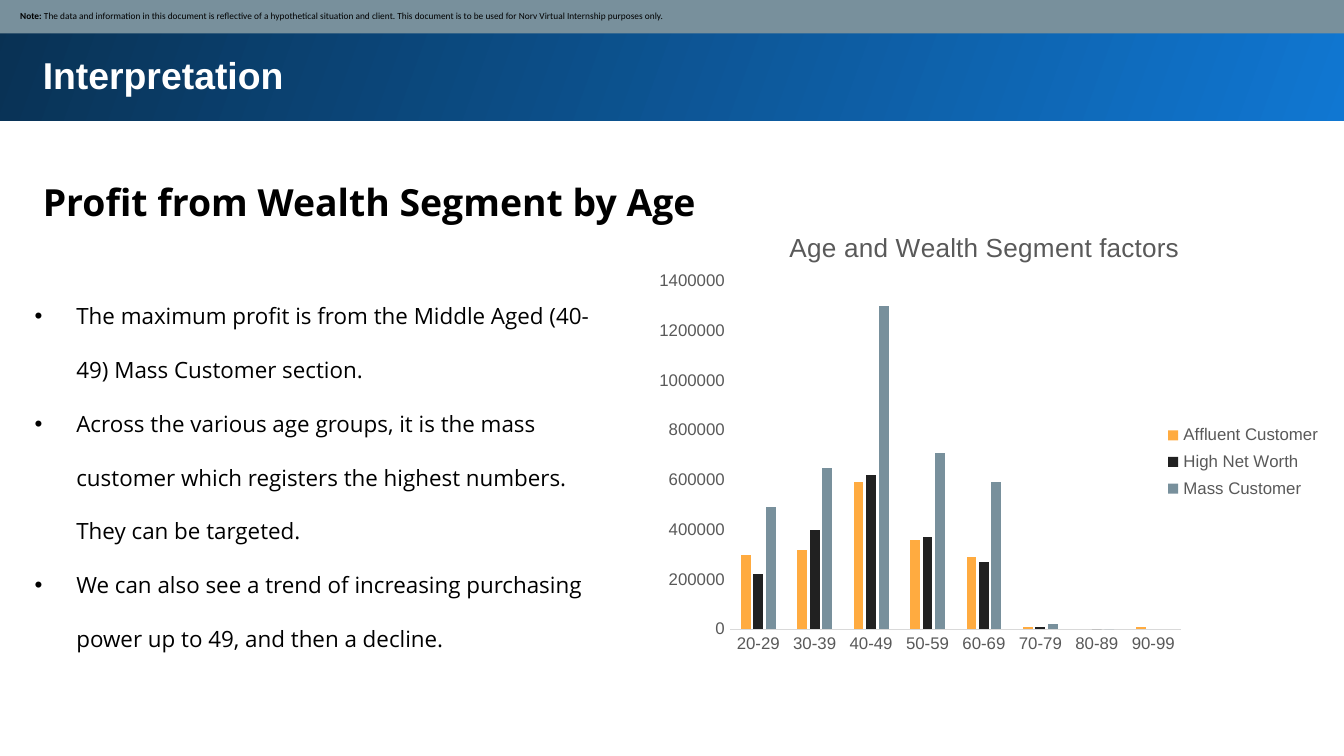
from lxml import etree
from pptx import Presentation
from pptx.chart.data import CategoryChartData
from pptx.dml.color import RGBColor
from pptx.enum.chart import XL_CHART_TYPE, XL_LEGEND_POSITION, XL_TICK_MARK
from pptx.enum.shapes import MSO_SHAPE
from pptx.enum.text import MSO_ANCHOR, PP_ALIGN
from pptx.oxml import parse_xml
from pptx.oxml.ns import nsdecls, qn
from pptx.util import Inches, Pt

COLORS = {
    "bright": "1077D2", "deep": "093153", "slate": "78909C", "amber": "FFAB40",
    "ink": "212121", "black": "000000", "white": "FFFFFF", "label": "595959",
    "axis": "D9D9D9",
}
NOTE = ("The data and information in this document is reflective of a hypothetical "
        "situation and client. This document is to be used for Norv Virtual "
        "Internship purposes only.")
FINDINGS = [
    "The maximum profit is from the Middle Aged (40-49) Mass Customer section.",
    "Across the various age groups, it is the mass customer which registers the "
    "highest numbers. They can be targeted.",
    "We can also see a trend of increasing purchasing power up to 49, and then a decline.",
]
AGES = ["20-29", "30-39", "40-49", "50-59", "60-69", "70-79", "80-89", "90-99"]
SEGMENTS = [
    ("Affluent Customer", "amber",
     [300000, 320000, 590000, 360000, 290000, 10000, None, 10000]),
    ("High Net Worth", "ink",
     [220000, 400000, 620000, 370000, 270000, 10000, 0, None]),
    ("Mass Customer", "slate",
     [490000, 650000, 1300000, 710000, 590000, 20000, 0, None]),
]


def rgb(name):
    """Return the named colour."""
    return RGBColor.from_string(COLORS[name])


def style_font(font, face, size, color, bold=False):
    """Set face, size, colour and weight of a font."""
    font.name, font.size, font.bold = face, Pt(size), bold
    font.color.rgb = rgb(color)


def add_bar(slide, box):
    """Add a plain rectangle without line or shadow."""
    bar = slide.shapes.add_shape(MSO_SHAPE.RECTANGLE, *map(Inches, box))
    bar.shadow.inherit = False
    bar.line.fill.background()
    return bar


def add_text(slide, box, lines, face, size, color, bold=False, spacing=None):
    """Add a wrapped text box and return its paragraphs."""
    frame = slide.shapes.add_textbox(*map(Inches, box)).text_frame
    frame.word_wrap = True
    frame.margin_left = frame.margin_right = Inches(0.1)
    frame.margin_top = frame.margin_bottom = Inches(0.1)
    frame.text = "\n".join(lines)
    for paragraph in frame.paragraphs:
        paragraph.line_spacing = spacing
        style_font(paragraph.runs[0].font, face, size, color, bold)
    return frame.paragraphs


def add_header(slide, box):
    """Add the gradient band with the slide title."""
    left, top, width, height = box
    band = add_bar(slide, box)
    band.fill.gradient()
    band.fill.gradient_angle = 160
    for stop, name in zip(band.fill.gradient_stops, ("bright", "deep")):
        stop.color.rgb = rgb(name)
    add_text(slide, (left + 0.24, top + 0.31, width - 0.68, height - 0.09),
             ["Interpretation"], "Arial", 20, "white", bold=True)


def add_note(slide, box):
    """Add the strip with the disclaimer."""
    strip = add_bar(slide, box)
    strip.fill.solid()
    strip.fill.fore_color.rgb = rgb("slate")
    frame = strip.text_frame
    frame.word_wrap = True
    frame.vertical_anchor = MSO_ANCHOR.MIDDLE
    frame.margin_left = Inches(0.16)
    frame.margin_right = frame.margin_top = frame.margin_bottom = Inches(0.05)
    paragraph = frame.paragraphs[0]
    paragraph.alignment = PP_ALIGN.LEFT
    for words, bold in (("Note: ", True), (NOTE, False)):
        run = paragraph.add_run()
        run.text = words
        style_font(run.font, "Calibri", 5, "black", bold)


def add_findings(slide, box):
    """Add the bulleted findings."""
    for paragraph in add_text(slide, box, FINDINGS, "Open Sans", 12, "black", spacing=2.0):
        properties = paragraph._p.get_or_add_pPr()
        properties.set("marL", str(Inches(0.31)))
        properties.set("indent", str(-Inches(0.31)))
        etree.SubElement(properties, qn("a:buFont")).set("typeface", "Arial")
        etree.SubElement(properties, qn("a:buChar")).set("char", "•")


def make_layout(target="", **fractions):
    """Build a manual chart layout from fractions of the chart."""
    inner = f'<c:layoutTarget val="{target}"/>' if target else ""
    modes = "".join(f'<c:{key}Mode val="edge"/>' for key in "xy")
    places = "".join(f'<c:{key} val="{value}"/>' for key, value in fractions.items())
    return parse_xml(f'<c:layout {nsdecls("c")}><c:manualLayout>{inner}{modes}{places}'
                     "</c:manualLayout></c:layout>")


def set_layout(parent, layout, before):
    """Put a layout into a chart part ahead of the given child."""
    for old in parent.findall(qn("c:layout")):
        parent.remove(old)
    parent.find(qn(before)).addprevious(layout)


def add_profit_chart(slide, box):
    """Add the clustered columns of profit by age and wealth segment."""
    data = CategoryChartData(number_format="General")
    data.categories = AGES
    for segment, _, profits in SEGMENTS:
        data.add_series(segment, profits)
    chart = slide.shapes.add_chart(
        XL_CHART_TYPE.COLUMN_CLUSTERED, *map(Inches, box), data).chart
    style_font(chart.font, "Arial", 10, "black")

    chart.has_title = True
    heading = chart.chart_title
    heading.text_frame.text = "Age and Wealth Segment factors"
    style_font(heading.text_frame.paragraphs[0].runs[0].font, "Arial", 14, "label")
    heading.include_in_layout = False
    set_layout(heading._element, make_layout(x=0.21, y=0.03), "c:overlay")

    chart.has_legend = True
    chart.legend.position = XL_LEGEND_POSITION.RIGHT
    chart.legend.include_in_layout = False
    style_font(chart.legend.font, "Arial", 9, "label")
    set_layout(chart.legend._element, make_layout(x=0.76, y=0.45, w=0.24, h=0.19),
               "c:overlay")

    for axis in (chart.category_axis, chart.value_axis):
        axis.major_tick_mark = axis.minor_tick_mark = XL_TICK_MARK.NONE
        axis.has_major_gridlines = False
        style_font(axis.tick_labels.font, "Arial", 9, "label")
    chart.category_axis.format.line.color.rgb = rgb("axis")
    chart.category_axis.format.line.width = Pt(0.75)
    chart.value_axis.format.line.fill.background()
    chart.value_axis.minimum_scale = 0
    chart.value_axis.maximum_scale = 1400000
    chart.value_axis.major_unit = 200000

    plot = chart.plots[0]
    plot.gap_width, plot.overlap, plot.vary_by_categories = 219, -27, False
    for series, (_, color, _) in zip(plot.series, SEGMENTS):
        series.format.fill.solid()
        series.format.fill.fore_color.rgb = rgb(color)
    set_layout(chart._chartSpace.chart.plotArea,
               make_layout("inner", x=0.13, y=0.15, w=0.66, h=0.76), "c:barChart")


def main():
    """Build and save the slide."""
    deck = Presentation()
    deck.slide_width = Inches(10)
    deck.slide_height = deck.slide_width * 9 // 16
    slide = deck.slides.add_slide(deck.slide_layouts[6])
    add_header(slide, (-0.02, -0.02, 10.05, 0.92))
    add_text(slide, (0.22, 1.18, 9.37, 0.56), ["Profit from Wealth Segment by Age"],
             "Open Sans", 20, "black", bold=True, spacing=1.15)
    add_findings(slide, (0.16, 1.95, 4.52, 3.29))
    add_note(slide, (-0.01, -0.01, 10.03, 0.26))
    add_profit_chart(slide, (4.77, 1.58, 5.09, 3.41))
    deck.save("out.pptx")


if __name__ == "__main__":
    main()
